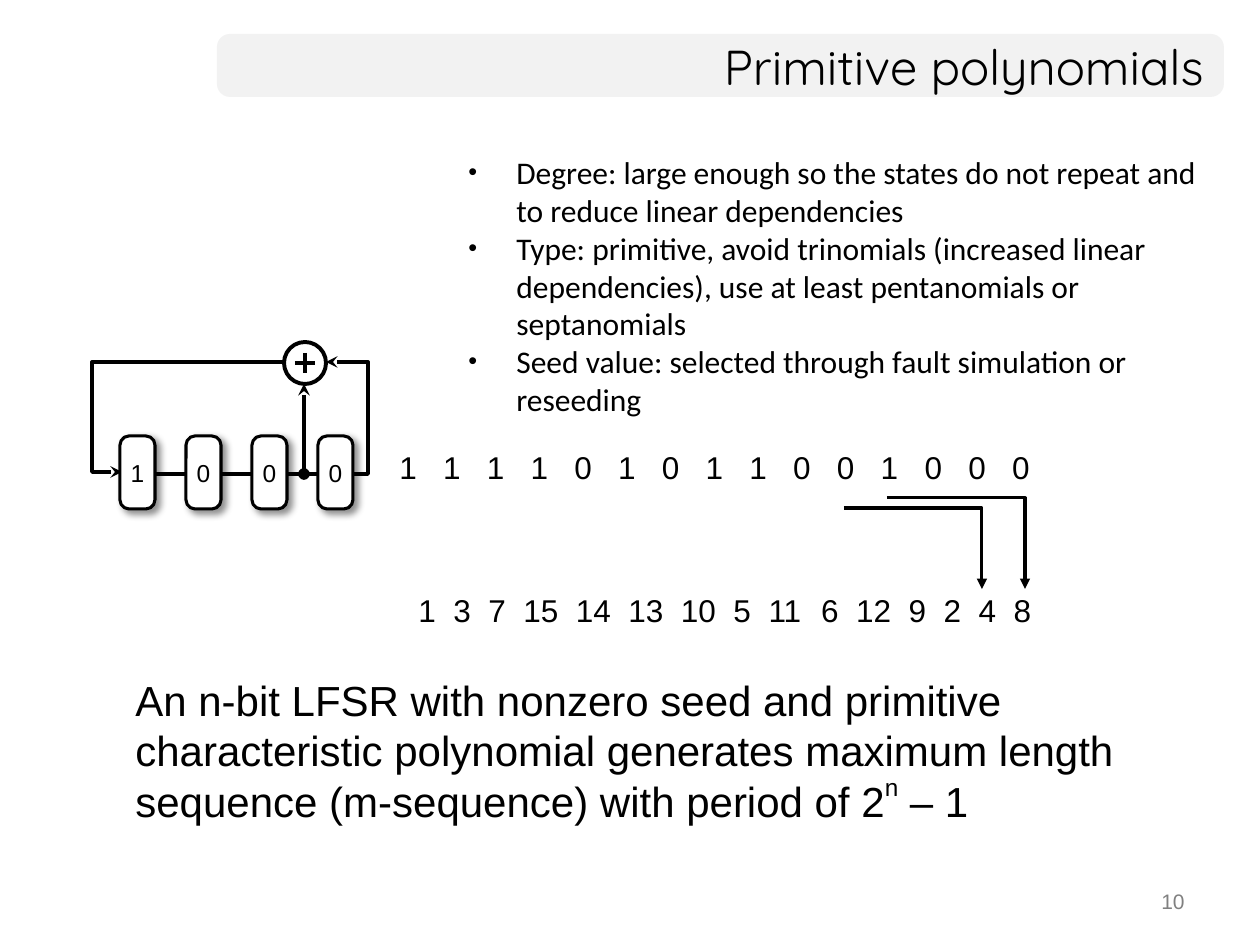
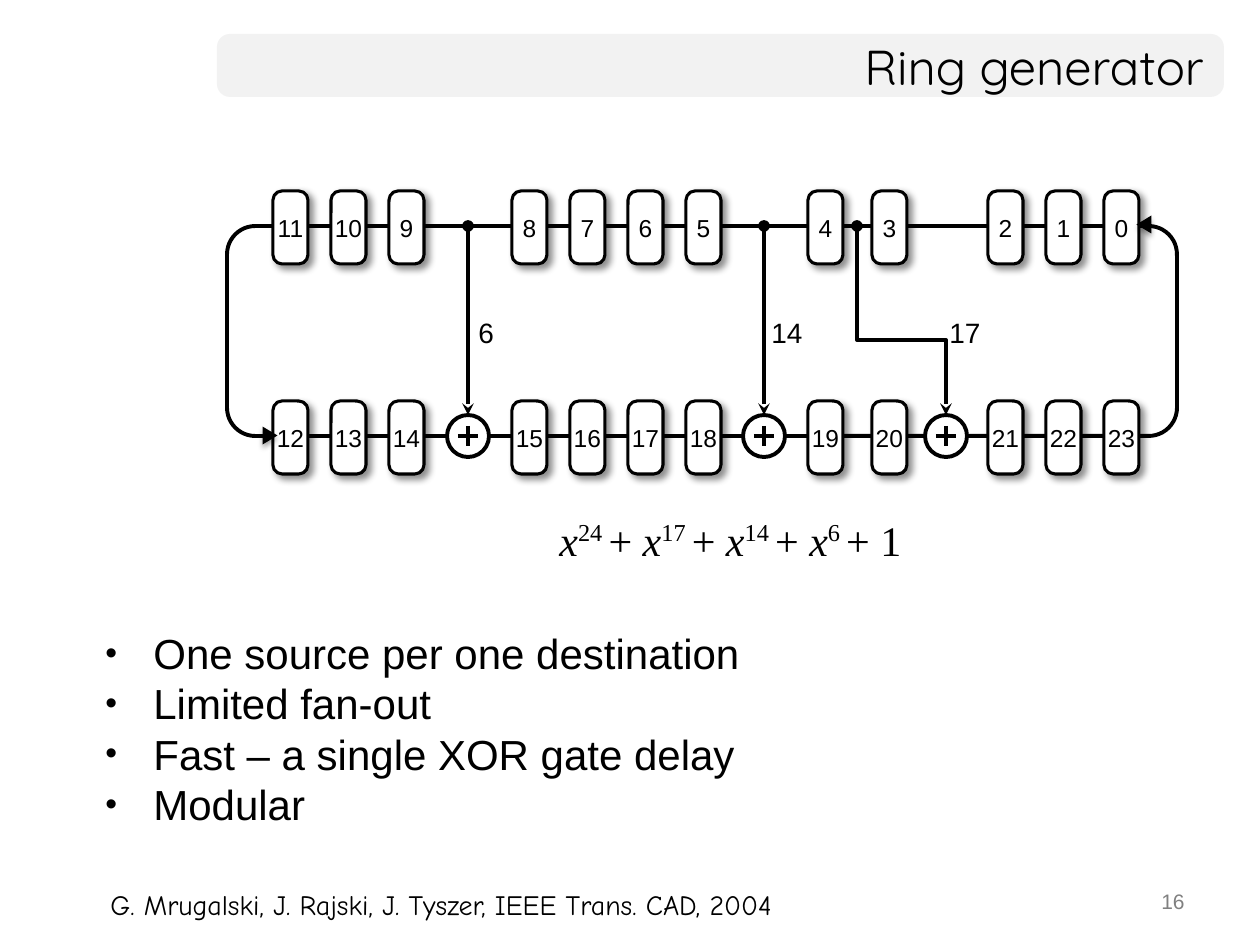
import pptx
import pptx.util
import pptx.dml.color
import pptx.enum.shapes
import pptx.enum.text
import pptx.oxml.ns
from lxml import etree

EMU_PER_PX = 914400 / 126
PX_PER_PT = 1.75
COLORS = {"ink": "000000", "paper": "FFFFFF", "band": "F2F2F2", "number": "808080"}
SHAPES = pptx.enum.shapes.MSO_SHAPE
ALIGN = pptx.enum.text.PP_ALIGN
MIDDLE = pptx.enum.text.MSO_ANCHOR.MIDDLE
CELL_SHADOW = {"alpha": 43, "blur": 4, "dist": 3, "angle": 45}
ARROW_SHADOW = {"alpha": 35, "blur": 3.1, "dist": 1.8, "angle": 90}
CELL_W, CELL_H, GATE = 35, 73, 42

FONTS = {
    "title": {"name": "Quicksand", "size": 28},
    "number": {"name": "Arial", "size": 12},
    "statement": {"name": "Arial", "size": 24},
    "advice": {"name": "Calibri", "size": 18},
    "sequence": {"name": "Arial", "size": 18},
    "cell": {"name": "Arial", "size": 14},
    "tap": {"name": "Arial", "size": 16},
    "citation": {"name": "Comic Neue", "size": 16},
    "formula": {"name": "Times New Roman", "size": 24},
}


def px(*lengths):
    return [pptx.util.Emu(round(length * EMU_PER_PX)) for length in lengths]


def rgb(color):
    return pptx.dml.color.RGBColor.from_string(COLORS[color])


def sub(parent, tag, **attributes):
    values = {key: str(value) for key, value in attributes.items()}
    return etree.SubElement(parent, pptx.oxml.ns.qn(tag), values)


def apply(target, values):
    for key, value in values.items():
        setattr(target, key, value)


def add_run(paragraph, text, style, color="ink", italic=False, raised=0):
    run = paragraph.add_run()
    run.text = text
    look = dict(FONTS[style], italic=italic)
    look["size"] = pptx.util.Pt(look["size"])
    apply(run.font, look)
    run.font.color.rgb = rgb(color)
    if raised:
        run._r.get_or_add_rPr().set("baseline", str(raised * 1000))


def add_text(slide, box, text, style, color="ink", frame=None, **paragraph_format):
    text_frame = slide.shapes.add_textbox(*px(*box)).text_frame
    apply(text_frame, {"word_wrap": True, **(frame or {})})
    paragraph = text_frame.paragraphs[0]
    apply(paragraph, paragraph_format)
    if text:
        add_run(paragraph, text, style, color)
    return paragraph


def line_pitch(style):
    return pptx.util.Pt(round(FONTS[style]["size"] * 1.2, 1))


def add_bullets(slide, box, items, style):
    text_frame = slide.shapes.add_textbox(*px(*box)).text_frame
    text_frame.word_wrap = True
    indent = px(48)[0]
    for index, item in enumerate(items):
        paragraph = text_frame.add_paragraph() if index else text_frame.paragraphs[0]
        paragraph.line_spacing = line_pitch(style)
        properties = paragraph._p.get_or_add_pPr()
        properties.set("marL", str(indent))
        properties.set("indent", str(-indent))
        sub(sub(properties, "a:buClr"), "a:srgbClr", val=COLORS["ink"])
        sub(properties, "a:buSzPct", val=80000)
        sub(properties, "a:buFont", typeface="Arial")
        sub(properties, "a:buChar", char="•")
        add_run(paragraph, item, style)


def add_sequence(slide, box, values, gap):
    paragraph = add_text(slide, box, "", "sequence", frame={"vertical_anchor": MIDDLE})
    tabs = sub(paragraph._p.get_or_add_pPr(), "a:tabLst")
    digit = FONTS["sequence"]["size"] * 0.556 * PX_PER_PT
    stop = 0
    for value in values[:-1]:
        stop += len(value) * digit + gap
        sub(tabs, "a:tab", pos=px(stop)[0], algn="l")
    add_run(paragraph, "\t".join(values), "sequence")


def add_block(slide, kind, box, fill=None, weight=0, radius=None, shadow=None):
    block = slide.shapes.add_shape(kind, *px(*box))
    block.shadow.inherit = False
    if radius:
        block.adjustments[0] = radius
    if fill:
        block.fill.solid()
        block.fill.fore_color.rgb = rgb(fill)
    else:
        block.fill.background()
    if weight:
        set_line(block, weight)
    else:
        block.line.fill.background()
    if shadow:
        effects = block._element.spPr.find(pptx.oxml.ns.qn("a:effectLst"))
        cast = sub(effects, "a:outerShdw", blurRad=pptx.util.Pt(shadow["blur"]),
                   dist=pptx.util.Pt(shadow["dist"]), dir=shadow["angle"] * 60000,
                   algn="ctr", rotWithShape=0)
        tint = sub(cast, "a:srgbClr", val=COLORS["ink"])
        sub(tint, "a:alpha", val=shadow["alpha"] * 1000)
    return block


def set_line(shape, weight, head=None, tail=None):
    shape.line.color.rgb = rgb("ink")
    shape.line.width = pptx.util.Pt(weight)
    outline = shape.line._get_or_add_ln()
    for tag, end in (("a:headEnd", head), ("a:tailEnd", tail)):
        if end:
            sub(outline, tag, type=end)


def add_wire(slide, start, end, head=None, tail=None):
    wire = slide.shapes.add_connector(
        pptx.enum.shapes.MSO_CONNECTOR.STRAIGHT, *px(*start, *end))
    set_line(wire, 2.25, head, tail)
    sub(wire._element.spPr, "a:effectLst")
    return wire


def add_bent_wire(slide, points, weight=2.25, head=None, tail="stealth"):
    corners = [px(*point) for point in points]
    builder = slide.shapes.build_freeform(*corners[0], scale=1.0)
    builder.add_line_segments(corners[1:], close=False)
    wire = builder.convert_to_shape()
    wire.fill.background()
    wire.shadow.inherit = False
    set_line(wire, weight, head, tail)


def add_xor_gate(slide, x, y):
    gate = add_block(slide, SHAPES.OVAL, (x - GATE / 2, y - GATE / 2, GATE, GATE),
                     "paper", 2.25)
    add_wire(slide, (x, y - 10), (x, y + 10))
    add_wire(slide, (x - 10, y), (x + 10, y))
    return gate


def add_cell(slide, x, y, label):
    cell = add_block(slide, SHAPES.ROUNDED_RECTANGLE, (x, y, CELL_W, CELL_H),
                     "paper", 1.75, 0.262, CELL_SHADOW)
    apply(cell.text_frame, {"margin_left": 0, "margin_right": 0, "margin_top": 0,
                            "margin_bottom": 0, "word_wrap": False,
                            "vertical_anchor": MIDDLE})
    paragraph = cell.text_frame.paragraphs[0]
    paragraph.alignment = ALIGN.CENTER
    add_run(paragraph, str(label), "cell")


def start_slide(deck, title, number):
    slide = deck.slides.add_slide(deck.slide_layouts[6])
    add_block(slide, SHAPES.ROUNDED_RECTANGLE, (217, 34, 1007, 63), "band", radius=0.208)
    add_text(slide, (903, 882, 294, 44), number, "number", "number", alignment=ALIGN.RIGHT)
    add_text(slide, (217, 34, 999, 63), title, "title",
             frame={"vertical_anchor": MIDDLE}, alignment=ALIGN.RIGHT)
    return slide


def build_polynomials(deck):
    slide = start_slide(deck, "Primitive polynomials", "10")
    period = add_text(
        slide, (123, 668, 1007, 155),
        "An n-bit LFSR with nonzero seed and primitive characteristic polynomial "
        "generates maximum length sequence (m-sequence) with period of 2",
        "statement", line_spacing=line_pitch("statement"))
    add_run(period, "n", "statement", raised=48)
    add_run(period, " – 1", "statement")

    add_bent_wire(slide, [(140, 474), (368, 474), (368, 362), (326, 362)])
    add_bent_wire(slide, [(290, 362), (92, 362), (92, 472), (122, 472)])
    add_xor_gate(slide, 305, 363)
    add_wire(slide, (304, 474), (304, 384), "oval", "stealth")
    for index, bit in enumerate("1000"):
        add_cell(slide, 120 + 66 * index, 436, bit)

    add_sequence(slide, (387, 442, 680, 50), list("111101011001000"), 26.25)
    states = "1 3 7 15 14 13 10 5 11 6 12 9 2 4 8".split()
    add_sequence(slide, (406, 585, 670, 50), states, 17.5)
    for left, right, top in ((887, 1025, 498), (844, 982, 508)):
        add_bent_wire(slide, [(left, top), (right, top), (right, 589)], 1.75, tail="triangle")

    add_bullets(slide, (456, 147, 762, 280), [
        "Degree: large enough so the states do not repeat and to reduce linear dependencies",
        "Type: primitive, avoid trinomials (increased linear dependencies), "
        "use at least pentanomials or septanomials",
        "Seed value: selected through fault simulation or reseeding",
    ], "advice")


def build_ring(deck):
    slide = start_slide(deck, "Ring generator", "16")
    upper, lower = 226, 436
    add_block(slide, SHAPES.ROUNDED_RECTANGLE, (227, upper, 950, lower - upper),
              weight=2.25, radius=0.135)

    for x in (468, 764):
        gate = add_xor_gate(slide, x, lower)
        tap = add_wire(slide, (x, upper), (x, lower - GATE / 2), "oval", "stealth")
        tap.end_connect(gate, 0)
    add_xor_gate(slide, 946, lower)
    add_bent_wire(slide, [(857, upper), (857, 340), (946, 340), (946, lower - GATE / 2)],
                  head="oval")
    for power, x in (("6", 466), ("14", 759), ("17", 937)):
        add_text(slide, (x, 309, 80, 47), power, "tap", frame={"vertical_anchor": MIDDLE})

    groups = ((273, 3, 58), (512, 4, 58), (808, 2, 64), (988, 3, 58))
    columns = [start + pitch * step for start, count, pitch in groups for step in range(count)]
    for index, x in enumerate(columns):
        add_cell(slide, x, upper - 35, 11 - index)
        add_cell(slide, x, lower - 35, 12 + index)

    for x, y, rotation in ((261, 428, 90), (1135, 217, 270)):
        arrow = add_block(slide, SHAPES.ISOSCELES_TRIANGLE, (x, y, 18, 15), "ink",
                          shadow=ARROW_SHADOW)
        arrow.rotation = rotation

    formula = add_text(slide, (547, 508, 394, 63), "", "formula")
    for power in ("24 ", "17 ", "14 ", "6 "):
        add_run(formula, "x", "formula", italic=True)
        add_run(formula, power, "formula", raised=34)
        add_run(formula, "+ 1" if power == "6 " else "+ ", "formula")

    add_bullets(slide, (93, 621, 779, 220), [
        "One source per one destination", "Limited fan-out",
        "Fast – a single XOR gate delay", "Modular",
    ], "statement")
    add_text(slide, (98, 881, 789, 47),
             "G. Mrugalski, J. Rajski, J. Tyszer, IEEE Trans. CAD, 2004", "citation")


def main():
    deck = pptx.Presentation()
    deck.slide_width, deck.slide_height = px(1260, 945)
    build_polynomials(deck)
    build_ring(deck)
    deck.save("out.pptx")


if __name__ == "__main__":
    main()
